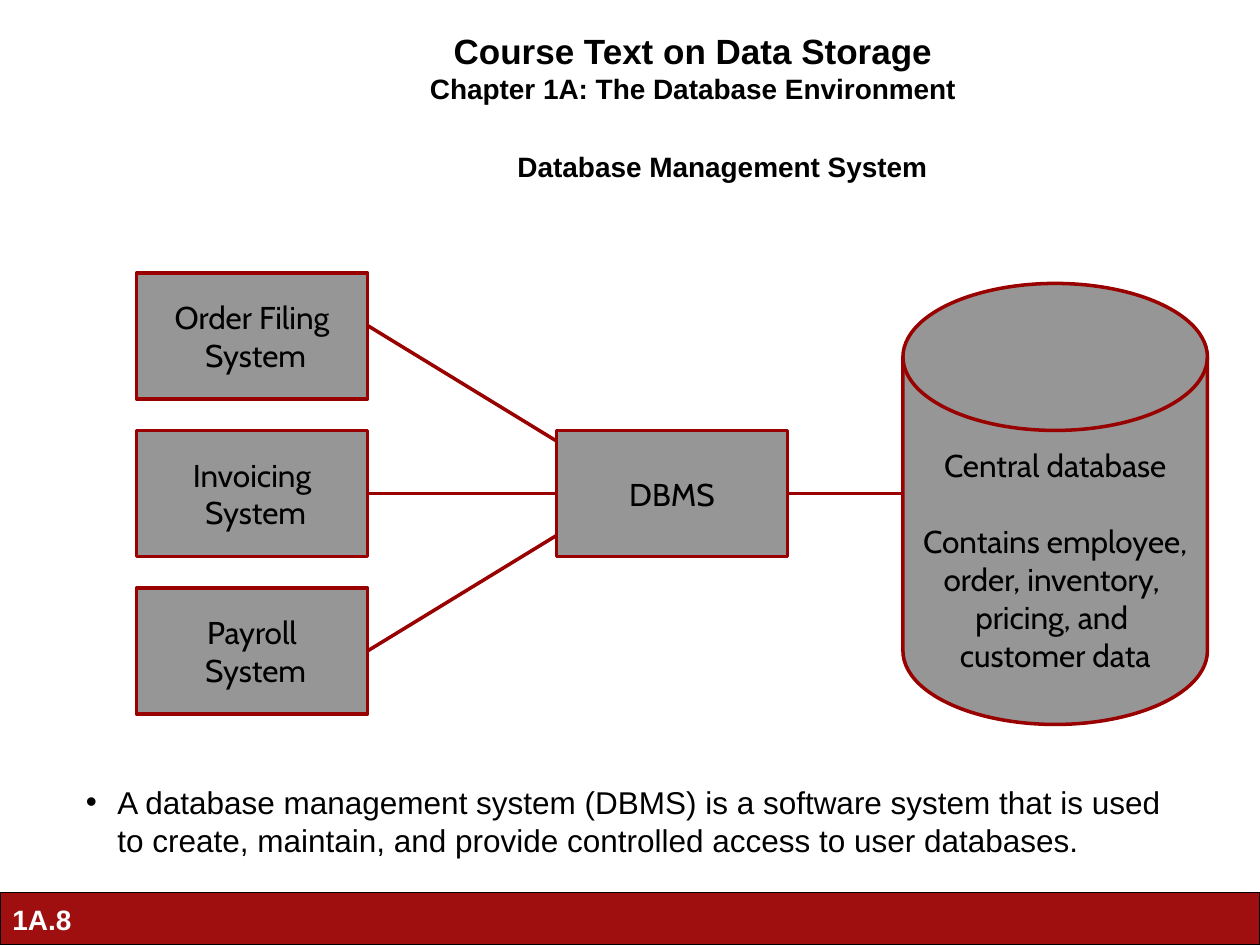
from dataclasses import dataclass

from lxml.etree import SubElement
from pptx import Presentation
from pptx.dml.color import RGBColor
from pptx.enum.shapes import MSO_CONNECTOR, MSO_SHAPE
from pptx.enum.text import MSO_ANCHOR, PP_ALIGN
from pptx.oxml.ns import qn
from pptx.util import Inches, Pt


@dataclass(frozen=True)
class Theme:
    black: RGBColor = RGBColor(0, 0, 0)
    white: RGBColor = RGBColor(255, 255, 255)
    bar: RGBColor = RGBColor(0x9F, 0x0F, 0x10)
    edge: RGBColor = RGBColor(0x99, 0, 0)
    fill: RGBColor = RGBColor(0x96, 0x96, 0x96)
    font: str = "Arial"
    node_font: str = "Cabin"
    heading: int = 20
    subheading: int = 16
    body: int = 18
    edge_width: float = 2
    bar_width: float = 0.75


THEME = Theme()
WIDTH, HEIGHT = 10, 7.5
COLS, ROWS = 120, 90
BOX_W, BOX_H = 22, 12
LEFT_COL, DBMS_COL, DISK_COL = 13, 53, 86
TOP_ROW, ROW_STEP = 26, 15
SYSTEMS = ["Order Filing", "Invoicing", "Payroll"]


def grid(col, row):
    return Inches(col * WIDTH / COLS), Inches(row * HEIGHT / ROWS)


def place(col, row, cols, rows):
    return *grid(col, row), *grid(cols, rows)


def add_run(p, text, size, font=THEME.font, color=THEME.black, bold=False):
    r = p.add_run()
    r.text = text
    r.font.size = Pt(size)
    r.font.name = font
    r.font.color.rgb = color
    r.font.bold = bold


def add_paragraph(tf, first, align=PP_ALIGN.CENTER, before=0):
    p = tf.paragraphs[0] if first else tf.add_paragraph()
    p.alignment = align
    p.space_before = Pt(before)
    return p


def add_textbox(s, box, anchor=MSO_ANCHOR.TOP):
    tf = s.shapes.add_textbox(*place(*box)).text_frame
    tf.word_wrap = True
    tf.vertical_anchor = anchor
    return tf


def add_heading(s, box, lines):
    tf = add_textbox(s, box, MSO_ANCHOR.MIDDLE)
    for i, (text, size) in enumerate(lines):
        add_run(add_paragraph(tf, i == 0), text, size, bold=True)


def add_bullet(s, box, text):
    p = add_paragraph(add_textbox(s, box), True, PP_ALIGN.LEFT, 4.5)
    add_run(p, text, THEME.body)
    pPr = p._p.get_or_add_pPr()
    pPr.set("marL", str(Inches(0.25)))
    pPr.set("indent", str(-Inches(0.25)))
    SubElement(pPr, qn("a:buFont")).set("typeface", THEME.font)
    SubElement(pPr, qn("a:buChar")).set("char", "•")


def add_filled(s, kind, box, fill, line, width):
    sp = s.shapes.add_shape(kind, *place(*box))
    sp.shadow.inherit = False
    sp.fill.solid()
    sp.fill.fore_color.rgb = fill
    sp.line.color.rgb = line
    sp.line.width = Pt(width)
    return sp


def add_node(s, kind, box, lines):
    sp = add_filled(s, kind, box, THEME.fill, THEME.edge, THEME.edge_width)
    tf = sp.text_frame
    tf.word_wrap = False
    tf.vertical_anchor = MSO_ANCHOR.MIDDLE
    for i, (text, before) in enumerate(lines):
        p = add_paragraph(tf, i == 0, before=before)
        add_run(p, text, THEME.body, THEME.node_font)
    return tf


def add_link(s, start, end):
    c = s.shapes.add_connector(MSO_CONNECTOR.STRAIGHT, *grid(*start), *grid(*end))
    c.line.color.rgb = THEME.edge
    c.line.width = Pt(THEME.edge_width)
    SubElement(c._element.spPr, qn("a:effectLst"))


def add_footer(s, number):
    add_filled(s, MSO_SHAPE.RECTANGLE, (0, 85, COLS, 5),
               THEME.bar, THEME.black, THEME.bar_width)
    p = add_paragraph(add_textbox(s, (0, 85.4, 10, 4.4)), True, PP_ALIGN.LEFT, 10)
    add_run(p, number, THEME.subheading, color=THEME.white, bold=True)


def add_diagram(s):
    for i, name in enumerate(SYSTEMS):
        add_node(s, MSO_SHAPE.RECTANGLE,
                 (LEFT_COL, TOP_ROW + i * ROW_STEP, BOX_W, BOX_H),
                 [(name, 0), (" System", 0)])
    add_node(s, MSO_SHAPE.RECTANGLE,
             (DBMS_COL, TOP_ROW + ROW_STEP, BOX_W, BOX_H), [("DBMS", 0)])
    for start, end in [(31, 42), (47, 47), (62, 51)]:
        add_link(s, (LEFT_COL + BOX_W, start), (DBMS_COL, end))
    tf = add_node(s, MSO_SHAPE.FLOWCHART_MAGNETIC_DISK, (DISK_COL, 27, 29, 42), [
        ("Central database", 0),
        ("Contains employee,", 22),
        ("order, inventory, ", 0),
        ("pricing, and ", 0),
        ("customer data", 0),
    ])
    tf.margin_top = Inches(0.35)
    add_link(s, (DBMS_COL + BOX_W, 47), (DISK_COL, 47))


def main():
    prs = Presentation()
    prs.slide_width, prs.slide_height = Inches(WIDTH), Inches(HEIGHT)
    s = prs.slides.add_slide(prs.slide_layouts[6])
    add_footer(s, "1A.8")
    add_heading(s, (15, 3, 102, 6.8), [
        ("Course Text on Data Storage", THEME.heading),
        ("Chapter 1A: The Database Environment", THEME.subheading),
    ])
    add_heading(s, (24, 14, 89.6, 3.7),
                [("Database Management System", THEME.subheading)])
    add_bullet(s, (7, 74, 106, 9),
               "A database management system (DBMS) is a software system that is used "
               "to create, maintain, and provide controlled access to user databases.")
    add_diagram(s)
    prs.save("out.pptx")


if __name__ == "__main__":
    main()
